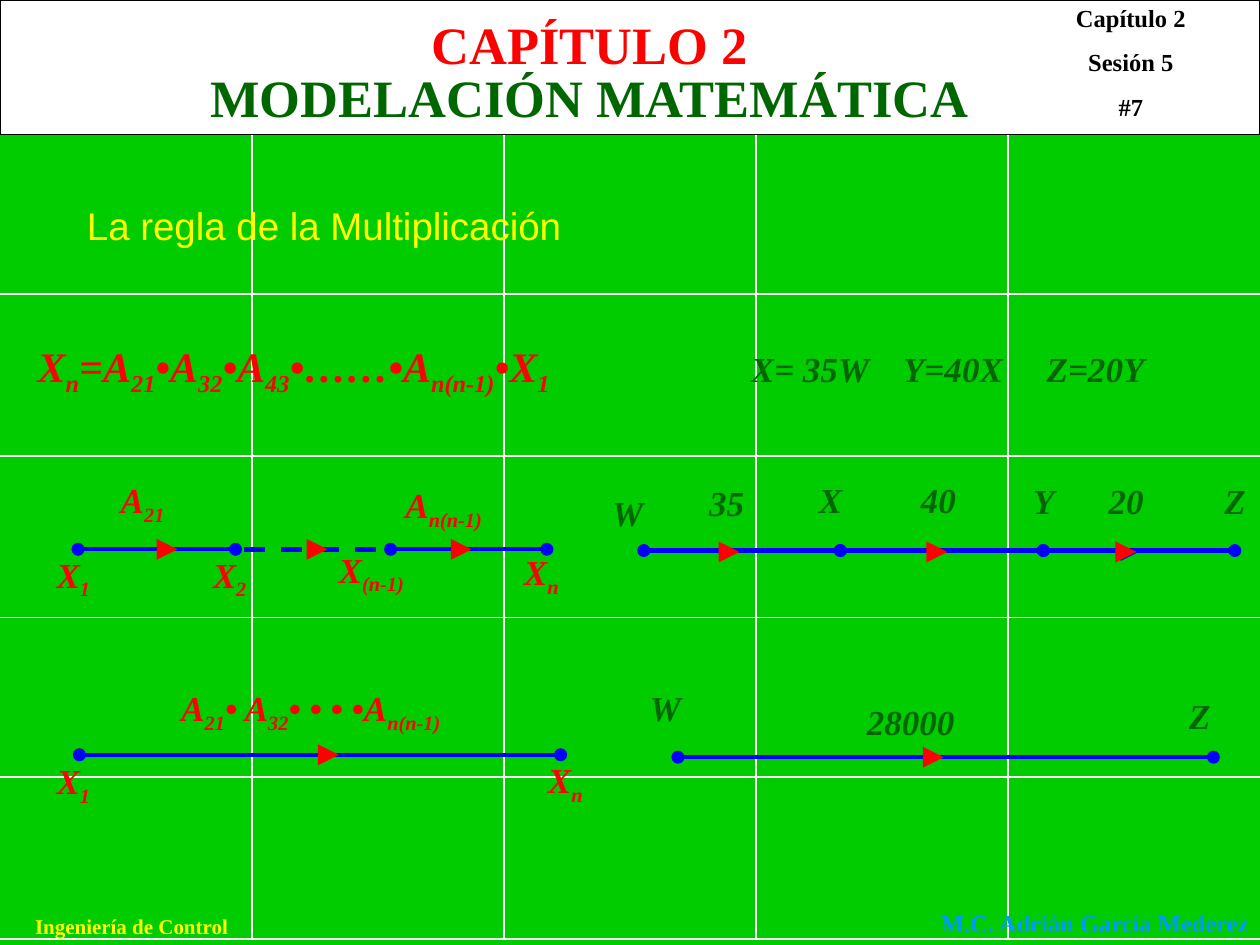
"""Builds the slide on the multiplication rule of signal-flow graphs."""
from lxml.etree import SubElement
from pptx import Presentation
from pptx.dml.color import RGBColor
from pptx.enum.dml import MSO_LINE
from pptx.enum.shapes import MSO_CONNECTOR, MSO_SHAPE
from pptx.enum.text import MSO_ANCHOR, MSO_AUTO_SIZE, PP_ALIGN
from pptx.oxml.ns import qn
from pptx.util import Pt

SERIF = "Times New Roman"
RED, GREEN, BLUE, YELLOW = "FF0000", "006600", "0000FF", "FFFF00"
WHITE, BLACK, SKY, GRASS = "FFFFFF", "000000", "0099FF", "00CC00"
rgb = RGBColor.from_string


def add_text(box, text, size, color, font=SERIF, bold=True, italic=False,
             align=PP_ALIGN.LEFT, wrap=True, tabs=(), sp=None):
    """Write text in a box; parts between underscores are subscripts."""
    x, y, w, h = map(Pt, box)
    sp = sp or s.shapes.add_textbox(x, y, w, h)
    sp.left, sp.top, sp.width, sp.height = x, y, w, h
    tf = sp.text_frame
    tf.word_wrap = wrap
    tf.auto_size = MSO_AUTO_SIZE.NONE
    tf.vertical_anchor = MSO_ANCHOR.TOP
    for i, line in enumerate(text.split("\n")):
        p = tf.add_paragraph() if i else tf.paragraphs[0]
        p.alignment = align
        p.space_before = Pt(8.8 if i else 0)
        if tabs:
            tab_list = SubElement(p._p.get_or_add_pPr(), qn("a:tabLst"))
            for pos in tabs:
                SubElement(tab_list, qn("a:tab"), pos=str(Pt(pos)), algn="l")
        for j, part in enumerate(line.split("_")):
            if not part:
                continue
            r = p.add_run()
            r.text = part
            r.font.name, r.font.size = font, Pt(size)
            r.font.bold, r.font.italic = bold, italic
            r.font.color.rgb = rgb(color)
            if j % 2:
                r.font._element.set("baseline", "-25000")


def add_line(x1, y1, x2, y2, color, width, head=None, tail=None, dash=None):
    """Draw a straight line with optional end marks."""
    cx = s.shapes.add_connector(MSO_CONNECTOR.STRAIGHT, Pt(x1), Pt(y1), Pt(x2), Pt(y2))
    cx.line.color.rgb = rgb(color)
    cx.line.width = Pt(width)
    if dash:
        cx.line.dash_style = dash
    ln = cx.line._get_or_add_ln()
    for tag, mark in (("a:headEnd", head), ("a:tailEnd", tail)):
        if mark:
            SubElement(ln, qn(tag), type=mark)
    SubElement(cx._element.spPr, qn("a:effectLst"))


prs = Presentation()
prs.slide_width, prs.slide_height = Pt(720), Pt(540)
s = prs.slides.add_slide(prs.slide_layouts[5])
s.background.fill.solid()
s.background.fill.fore_color.rgb = rgb(GRASS)

for x in range(144, 720, 144):
    add_line(x, 75.6, x, 536.4, WHITE, 1)
for y in (168, 260.6, 352.8, 444.2, 536.4):
    add_line(0, y, 720, y, WHITE, 1)

header = s.shapes.add_shape(MSO_SHAPE.RECTANGLE, 0, 0, Pt(720), Pt(77))
header.shadow.inherit = False
header.fill.solid()
header.fill.fore_color.rgb = rgb(WHITE)
header.line.color.rgb = rgb(BLACK)
header.line.width = Pt(0.75)

add_text((0, 518.4, 150.5, 21.6), "Ingeniería de Control", 12, YELLOW, align=PP_ALIGN.CENTER)
add_text((530.6, 515.5, 191.5, 24.5), "M.C. Adrián García Mederez", 14, SKY, wrap=False)
add_text((586.8, -2, 118.8, 75.6), "Capítulo 2\nSesión 5\n#7", 14, BLACK, align=PP_ALIGN.CENTER)
add_text((64.8, 3.6, 544.3, 43.2), "CAPÍTULO 2", 30, RED, align=PP_ALIGN.CENTER)
add_text((64.8, 33.8, 544.3, 43.2), "MODELACIÓN MATEMÁTICA", 30, GREEN, align=PP_ALIGN.CENTER)

title = s.shapes.title
s.shapes._spTree.append(title._element)
add_text((42.5, 111.6, 300.2, 33.8), "La regla de la Multiplicación", 22, YELLOW,
         font="Arial", bold=False, sp=title)

add_text((14.4, 190.8, 334.8, 40.3),
         "X_n_=A_21_•A_32_•A_43_•……•A_n(n-1)_•X_1", 24, RED, italic=True)
add_text((422, 195.1, 289.4, 31.7), "X= 35W\tY=40X\tZ=20Y", 20, GREEN,
         italic=True, tabs=(87, 169))

branches = [
    (44.6, 134.6, 313.9), (223.2, 312.5, 313.9),
    (367.9, 480.2, 314.6), (480.2, 596.2, 314.6), (596.2, 705.6, 314.6),
    (45.4, 320.4, 431.3), (387.4, 693.4, 432.7),
]
for x1, x2, y in branches:
    add_line(x1, y, x2, y, BLUE, 2.5, head="oval", tail="oval")
add_line(139.7, 313.9, 218.9, 313.9, BLUE, 3, dash=MSO_LINE.DASH)
add_line(640.8, 316.1, 649.4, 316.1, BLUE, 3, tail="triangle")

arrow_tips = [
    (101.5, 313.9), (187.2, 313.9), (269.6, 313.9),
    (422.6, 315.4), (541.4, 315.4), (649.4, 315.4),
    (193.7, 431.3), (539.3, 432.7),
]
for x, y in arrow_tips:
    add_line(x - 11.5, y, x, y, RED, 4, tail="triangle")

labels = {
    RED: [
        (61.9, 270, 54, "A_21_"), (224.6, 272.9, 69, "A_n(n-1)_"),
        (25.2, 312.5, 54, "X_1_"), (114.5, 312.5, 54, "X_2_"),
        (186.5, 309.6, 69, "X_(n-1)_"), (292.3, 311, 69, "X_n_"),
        (96.5, 388.8, 213, "A_21_• A_32_• • • •A_n(n-1)_"),
        (25.2, 430.6, 57, "X_1_"), (306, 429.8, 54, "X_n_"),
    ],
    GREEN: [
        (342.7, 277.2, 34.6, "W"), (398.2, 271.4, 55.4, "35"),
        (460.8, 270, 38.2, "X"), (519.1, 270, 41, "40"),
        (583.2, 270.7, 30.2, "Y"), (626.4, 270.7, 55.4, "20"),
        (692.6, 270.7, 27.4, "Z"), (364.3, 388.8, 44.6, "W"),
        (488.2, 396.7, 109.4, "28000"), (672.5, 393.1, 47.5, "Z"),
    ],
}
for color, items in labels.items():
    for x, y, w, text in items:
        add_text((x, y, w, 40), text, 20, color, italic=True)

prs.save("out.pptx")
